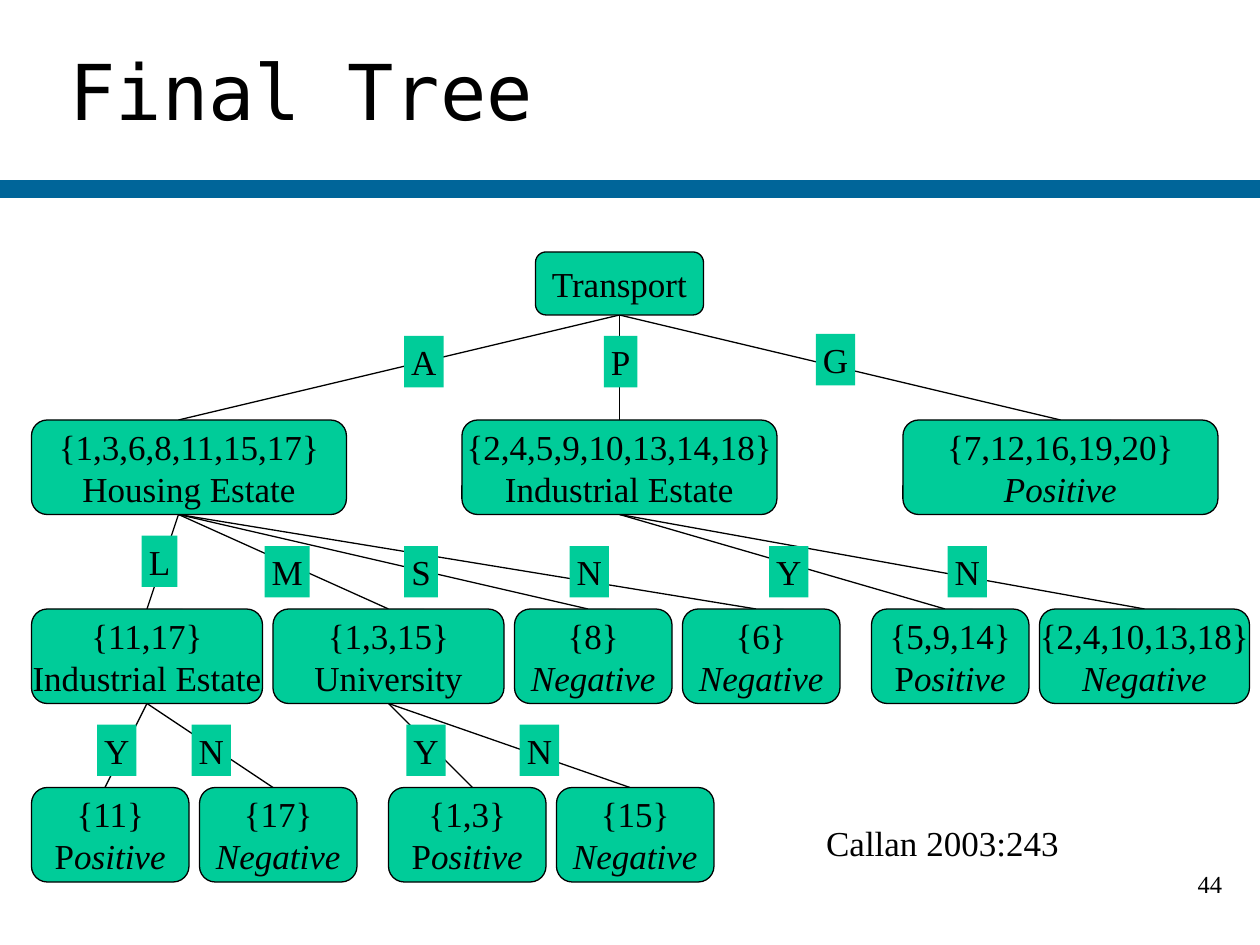
from dataclasses import dataclass

import pptx
import pptx.dml.color
import pptx.enum.shapes
import pptx.enum.text
import pptx.oxml.ns
import pptx.util
from lxml import etree
from pptx.dml.color import RGBColor
from pptx.enum.shapes import MSO_SHAPE
from pptx.enum.text import MSO_ANCHOR, PP_ALIGN

BLACK = RGBColor(0x00, 0x00, 0x00)
GREEN = RGBColor(0x00, 0xCC, 0x99)
BLUE = RGBColor(0x00, 0x65, 0x99)
SERIF = "Times New Roman"
MONO = "DejaVu Sans Mono"
GRID_CM = 2.54 / 12
NODE_HEIGHT = 9
LABEL_HEIGHT = 4.9


@dataclass(frozen=True)
class Run:
    text: str
    italic: bool = False


Line = tuple[Run, ...]
POSITIVE: Line = (Run("P"), Run("ositive", True))
NEGATIVE: Line = (Run("Negative", True),)
INDUSTRIAL: Line = (Run("Industrial Estate"),)


@dataclass(frozen=True)
class Node:
    left: float
    top: float
    width: float
    joint: float
    lines: tuple[Line, ...]
    height: float = NODE_HEIGHT


@dataclass(frozen=True)
class Branch:
    parent: str
    child: str
    label: str
    left: float
    top: float
    width: float = 3.75


def line(text: str) -> Line:
    return (Run(text),)


NODES = {
    "transport": Node(51, 24, 16, 59, (line("Transport"),), 6),
    "housing": Node(3, 40, 30, 17, (line("{1,3,6,8,11,15,17}"), line("Housing Estate"))),
    "industrial": Node(44, 40, 30, 59, (line("{2,4,5,9,10,13,14,18}"), INDUSTRIAL)),
    "green": Node(86, 40, 30, 101, (line("{7,12,16,19,20}"), (Run("Positive", True),))),
    "large": Node(3, 58, 22, 14, (line("{11,17}"), INDUSTRIAL)),
    "medium": Node(26, 58, 22, 37, (line("{1,3,15}"), line("University"))),
    "small": Node(49, 58, 15, 56, (line("{8}"), NEGATIVE)),
    "none": Node(65, 58, 15, 72, (line("{6}"), NEGATIVE)),
    "industrial yes": Node(83, 58, 15, 90, (line("{5,9,14}"), POSITIVE)),
    "industrial no": Node(99, 58, 20, 109, (line("{2,4,10,13,18}"), NEGATIVE)),
    "large yes": Node(3, 75, 15, 10, (line("{11}"), POSITIVE)),
    "large no": Node(19, 75, 15, 26, (line("{17}"), NEGATIVE)),
    "medium yes": Node(37, 75, 15, 45, (line("{1,3}"), POSITIVE)),
    "medium no": Node(53, 75, 15, 60, (line("{15}"), NEGATIVE)),
}

BRANCHES = [
    Branch("transport", "housing", "A", 38.5, 32),
    Branch("transport", "industrial", "P", 57.5, 32, 3.2),
    Branch("transport", "green", "G", 77.7, 31.8),
    Branch("housing", "large", "L", 13.5, 51, 3.4),
    Branch("housing", "medium", "M", 25.2, 52, 4.3),
    Branch("housing", "small", "S", 38.5, 52, 3.2),
    Branch("housing", "none", "N", 54.25, 52),
    Branch("industrial", "industrial yes", "Y", 73.25, 52),
    Branch("industrial", "industrial no", "N", 90.25, 52),
    Branch("large", "large yes", "Y", 9.25, 69),
    Branch("large", "large no", "N", 18.25, 69),
    Branch("medium", "medium yes", "Y", 38.7, 69),
    Branch("medium", "medium no", "N", 49.5, 69),
]


def grid(units: float) -> pptx.util.Length:
    return pptx.util.Cm(units * GRID_CM)


def write_lines(shape, lines: tuple[Line, ...], size: float = 20, font: str = SERIF,
                alignment: PP_ALIGN = PP_ALIGN.CENTER, wrap: bool = False) -> None:
    frame = shape.text_frame
    frame.auto_size = pptx.enum.text.MSO_AUTO_SIZE.NONE
    frame.word_wrap = wrap
    frame.vertical_anchor = MSO_ANCHOR.MIDDLE
    frame.margin_left = frame.margin_right = pptx.util.Cm(0.13)
    frame.margin_top = frame.margin_bottom = pptx.util.Cm(0.13)
    for index, runs in enumerate(lines):
        paragraph = frame.add_paragraph() if index else frame.paragraphs[0]
        paragraph.alignment = alignment
        for item in runs:
            run = paragraph.add_run()
            run.text = item.text
            run.font.name = font
            run.font.size = pptx.util.Pt(size)
            run.font.italic = item.italic
            run.font.color.rgb = BLACK


def draw_line(slide, start: tuple[float, float], end: tuple[float, float],
              color: RGBColor = BLACK, width: float = 0.75) -> None:
    connector = slide.shapes.add_connector(
        pptx.enum.shapes.MSO_CONNECTOR.STRAIGHT, *map(grid, start + end))
    connector.line.color.rgb = color
    connector.line.width = pptx.util.Pt(width)
    etree.SubElement(connector.element.spPr, pptx.oxml.ns.qn("a:effectLst"))


def draw_box(slide, kind: MSO_SHAPE, left: float, top: float, width: float, height: float):
    shape = slide.shapes.add_shape(kind, *map(grid, (left, top, width, height)))
    shape.shadow.inherit = False
    shape.fill.solid()
    shape.fill.fore_color.rgb = GREEN
    return shape


def draw_node(slide, node: Node) -> None:
    shape = draw_box(slide, MSO_SHAPE.ROUNDED_RECTANGLE, node.left, node.top, node.width, node.height)
    shape.line.color.rgb = BLACK
    shape.line.width = pptx.util.Pt(0.75)
    write_lines(shape, node.lines)


def draw_label(slide, branch: Branch) -> None:
    shape = draw_box(slide, MSO_SHAPE.RECTANGLE, branch.left, branch.top, branch.width, LABEL_HEIGHT)
    shape.line.fill.background()
    write_lines(shape, (line(branch.label),))


def draw_tree(slide) -> None:
    for branch in BRANCHES:
        parent, child = NODES[branch.parent], NODES[branch.child]
        draw_line(slide, (parent.joint, parent.top + parent.height), (child.joint, child.top))
    for node in NODES.values():
        draw_node(slide, node)
    for branch in BRANCHES:
        draw_label(slide, branch)


def draw_text(slide, text: str, left: float, top: float, width: float, height: float,
              size: float, alignment: PP_ALIGN) -> None:
    box = slide.shapes.add_textbox(*map(pptx.util.Cm, (left, top, width, height)))
    write_lines(box, (line(text),), size, alignment=alignment)


def main() -> None:
    presentation = pptx.Presentation()
    presentation.slide_width = pptx.util.Cm(25.4)
    presentation.slide_height = pptx.util.Cm(19.05)
    slide = presentation.slides.add_slide(presentation.slide_layouts[5])
    draw_line(slide, (0, 18), (120, 18), BLUE, 10)
    title = slide.shapes.title
    title.left, title.top = pptx.util.Cm(1.27), pptx.util.Cm(0)
    title.width, title.height = pptx.util.Cm(17.78), pptx.util.Cm(3.6)
    write_lines(title, (line("Final Tree"),), 44, MONO, PP_ALIGN.LEFT, True)
    draw_tree(slide)
    draw_text(slide, "Callan 2003:243", 16.51, 16.46, 4.98, 1.04, 20, PP_ALIGN.CENTER)
    draw_text(slide, "44", 23.93, 17.35, 0.84, 0.91, 14, PP_ALIGN.RIGHT)
    presentation.save("out.pptx")


if __name__ == "__main__":
    main()
